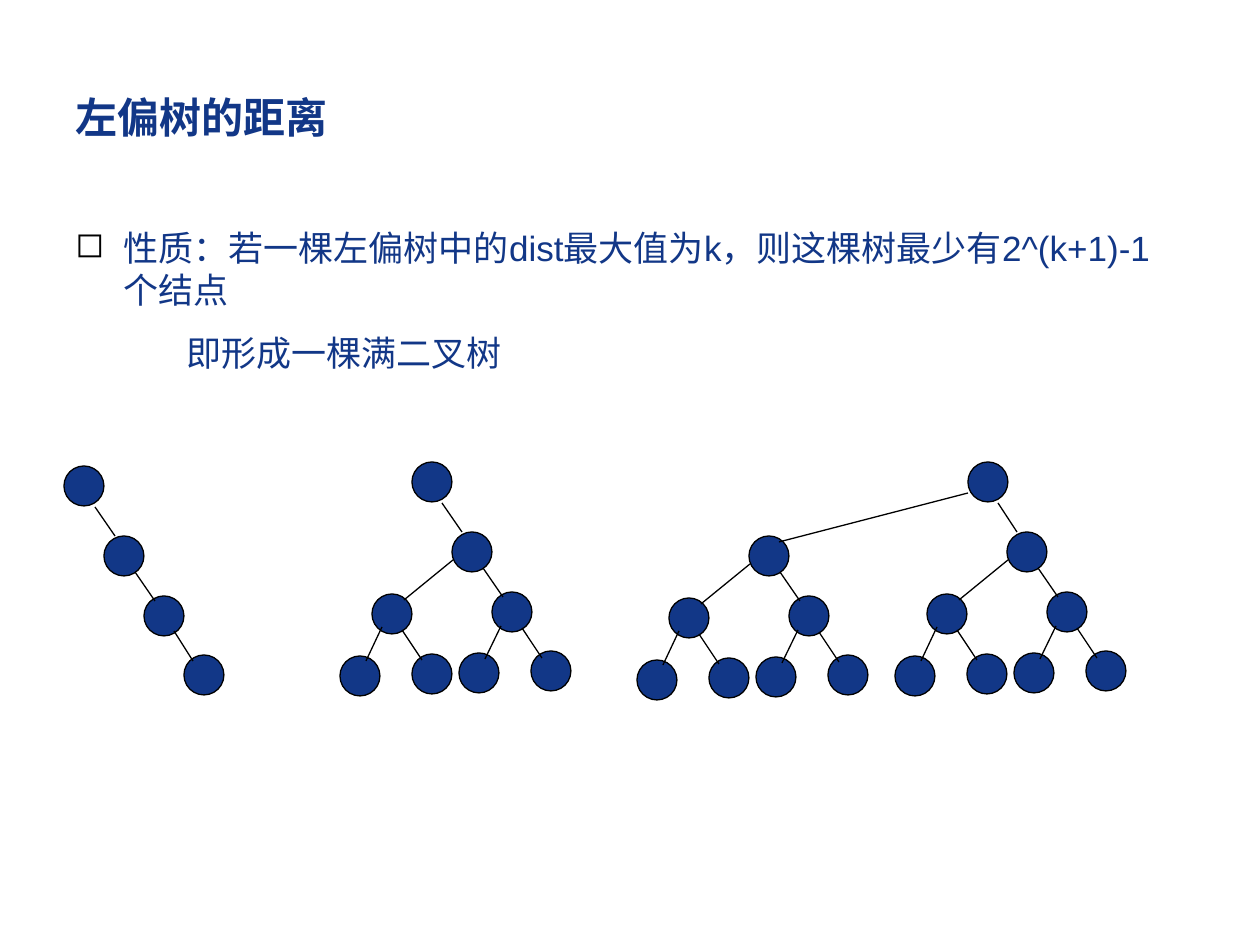
from lxml import etree
from pptx import Presentation
from pptx.dml.color import RGBColor
from pptx.enum.shapes import MSO_CONNECTOR, MSO_SHAPE
from pptx.enum.text import MSO_ANCHOR
from pptx.oxml.ns import qn
from pptx.util import Pt

PX = 7257  # EMU per px, at 126 px to the inch
INCH = 126
NAVY = RGBColor(0x12, 0x37, 0x87)
BLACK = RGBColor(0, 0, 0)
OVAL = MSO_SHAPE.OVAL
STRAIGHT = MSO_CONNECTOR.STRAIGHT
NODE = 40
HANGING = 48

# Top left corners of nodes and ends of edges, in px
CHAIN_NODES = [(64, 466), (104, 536), (144, 596), (184, 655)]
CHAIN_EDGES = [(95, 507, 115, 536), (135, 572, 155, 601), (174, 631, 193, 661)]
TOP_NODES = [(412, 462), (968, 462)]
TOP_EDGES = [(442, 503, 462, 532), (998, 503, 1017, 532), (968, 493, 779, 542)]

# A full binary tree of seven nodes, relative to its root
TREE_ROOTS = [(452, 532), (1007, 532), (749, 536)]
TREE_NODES = [(0, 0), (-80, 62), (40, 60), (-112, 124), (-40, 122), (7, 121), (79, 119)]
TREE_EDGES = [(1, 28, -48, 68), (31, 36, 51, 65), (-70, 95, -86, 129),
              (-50, 98, -30, 128), (49, 94, 33, 127), (70, 96, 90, 126)]

presentation = Presentation()
presentation.slide_width = 1260 * PX
presentation.slide_height = 945 * PX
slide = presentation.slides.add_slide(presentation.slide_layouts[6])


def add_text_frame(left, top, width, height, anchor):
    box = slide.shapes.add_textbox(left * PX, top * PX, width * PX, height * PX)
    box.text_frame.word_wrap = True
    box.text_frame.vertical_anchor = anchor
    return box.text_frame


def set_font(paragraph, size, bold=False):
    values = {"name": "Arial", "size": Pt(size), "bold": bold}
    for run in paragraph.runs:
        for name, value in values.items():
            setattr(run.font, name, value)
        run.font.color.rgb = NAVY


title = add_text_frame(63, 38, 1134, 157, MSO_ANCHOR.MIDDLE).paragraphs[0]
title.text = "左偏树的距离"
set_font(title, 24, bold=True)

body = add_text_frame(63, 220, 1134, 624, MSO_ANCHOR.TOP)
statement = body.paragraphs[0]
statement.text = "性质：若一棵左偏树中的dist最大值为k，则这棵树最少有2^(k+1)-1个结点"
conclusion = body.add_paragraph()
conclusion.text = "\t\t即形成一棵满二叉树"
conclusion.space_before = Pt(6)

for paragraph, first_tab in ((statement, 1), (conclusion, 0)):
    paragraph.space_after = Pt(6)
    properties = paragraph._p.get_or_add_pPr()
    properties.set("marL", str(HANGING * PX))
    properties.set("indent", str(-HANGING * PX))
    if paragraph is statement:
        bullet_color = etree.SubElement(properties, qn("a:buClr"))
        etree.SubElement(bullet_color, qn("a:srgbClr"), val=str(BLACK))
        etree.SubElement(properties, qn("a:buChar"), char="◻")
    else:
        etree.SubElement(properties, qn("a:buNone"))
    tabs = etree.SubElement(properties, qn("a:tabLst"))
    for position in range(first_tab, first_tab + 8):
        etree.SubElement(tabs, qn("a:tab"), pos=str(position * INCH * PX), algn="l")
    set_font(paragraph, 20)

nodes = CHAIN_NODES + TOP_NODES
edges = CHAIN_EDGES + TOP_EDGES
for root_x, root_y in TREE_ROOTS:
    nodes += [(root_x + x, root_y + y) for x, y in TREE_NODES]
    edges += [(root_x + x1, root_y + y1, root_x + x2, root_y + y2)
              for x1, y1, x2, y2 in TREE_EDGES]

for x, y in nodes:
    node = slide.shapes.add_shape(OVAL, x * PX, y * PX, NODE * PX, NODE * PX)
    node.shadow.inherit = False
    node.fill.solid()
    node.fill.fore_color.rgb = NAVY
    node.line.color.rgb = BLACK
    node.line.width = Pt(0.75)

for ends in edges:
    edge = slide.shapes.add_connector(STRAIGHT, *(end * PX for end in ends))
    edge.line.color.rgb = BLACK
    edge.line.width = Pt(0.75)
    etree.SubElement(edge._element.spPr, qn("a:effectLst"))

presentation.save("out.pptx")
